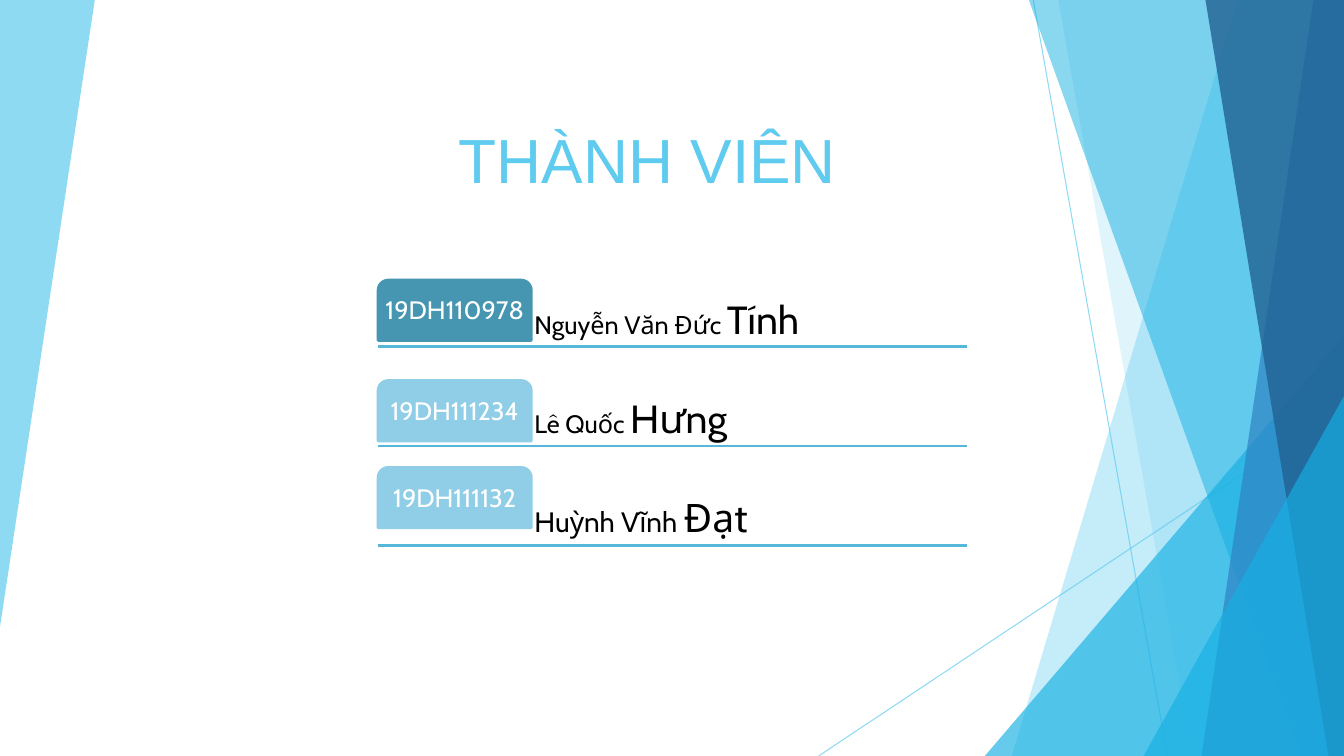
from lxml.etree import SubElement as Sub
from pptx import Presentation
from pptx.dml.color import RGBColor as RGB
from pptx.enum.shapes import MSO_CONNECTOR as Link, MSO_SHAPE as Form
from pptx.enum.text import MSO_ANCHOR as Anchor, PP_ALIGN as Align
from pptx.oxml.ns import qn
from pptx.util import Cm, Pt

SKY = RGB(0x5F, 0xCB, 0xEF)
CYAN = RGB(0x16, 0xB0, 0xE3)
BLUE = RGB(0x2E, 0x83, 0xC3)
NAVY = RGB(0x22, 0x62, 0x92)
RULE = RGB(0x56, 0xB8, 0xD9)
TEAL = RGB(0x46, 0x96, 0xB1)
PALE = RGB(0x90, 0xCE, 0xE7)
WHITE = RGB(0xFF, 0xFF, 0xFF)
BLACK = RGB(0, 0, 0)

WIDE, HIGH = 33.87, 19.05
PITCH = 2.5

# Student number, first names, last name, first-name size, tab colour, tab offset
MEMBERS = [
    ("19DH110978", "Nguyễn Văn Đức ", "Tính", 18, TEAL, 0.71),
    ("19DH111234", "Lê Quốc ", "Hưng", 18, PALE, 0.74),
    ("19DH111132", "Huỳnh Vĩnh ", "Đạt", 20, PALE, 0.43),
]


def fade(part, share):
    """Set the opacity of every colour in the part, in percent."""
    for tint in list(part._element.iter(qn("a:srgbClr"))):
        Sub(tint, qn("a:alpha")).set("val", str(share * 1000))


def paint(shape, color):
    shape.shadow.inherit = False
    shape.fill.solid()
    shape.fill.fore_color.rgb = color
    shape.line.fill.background()


def draw_line(slide, start, end, color, size):
    line = slide.shapes.add_connector(
        Link.STRAIGHT, *(Cm(n) for n in (*start, *end)))
    line.line.color.rgb = color
    line.line.width = Pt(size)
    Sub(line._element.spPr, qn("a:effectLst"))
    return line


def draw_area(slide, points, color, share):
    first, *rest = [(Cm(x), Cm(y)) for x, y in points]
    pen = slide.shapes.build_freeform(*first)
    pen.add_line_segments(rest, close=True)
    area = pen.convert_to_shape()
    paint(area, color)
    fade(area, share)


def draw_band(slide, right, top, high, upper, lower, color, share):
    """Fill from the right edge to a slant, given by its distances from that edge."""
    base = top + high
    draw_area(slide, [(right - upper, top), (right, top), (right, base),
                      (right - lower, base)], color, share)


def draw_wedge(slide, right, base, wide, high):
    wedge = slide.shapes.add_shape(
        Form.ISOSCELES_TRIANGLE, Cm(right - wide), Cm(base - high), Cm(wide), Cm(high))
    wedge.adjustments[0] = 1
    paint(wedge, CYAN)
    fade(wedge, 66)


def draw_back(slide, left, top, wide, high):
    right, base = left + wide, top + high
    draw_area(slide, [(left, top), (left + 2.39, top), (left, top + 15.8)], SKY, 70)
    for start, end in (((right - 7.83, top), (right - 4.45, base)),
                       ((right, top + 10.24), (right - 13.24, base))):
        fade(draw_line(slide, start, end, SKY, 0.75), 70)
    edge = slide, right, top, high
    draw_band(*edge, 2.68, 8.37, SKY, 36)
    draw_band(*edge, 7.2, 3.82, SKY, 20)
    draw_wedge(slide, right, base, 9.05, 10.59)
    draw_band(*edge, 7.94, 1.08, CYAN, 50)
    draw_band(*edge, 0.77, 3.59, BLUE, 70)
    draw_band(*edge, 3.49, 0.39, NAVY, 80)
    draw_wedge(slide, right, base, 5.05, 9.07)


def add_run(para, text, size, color, font="Cabin"):
    run = para.add_run()
    run.text = text
    run.font.name = font
    run.font.size = Pt(size)
    run.font.color.rgb = color


def set_frame(frame, anchor, wrap):
    frame.word_wrap = wrap
    frame.vertical_anchor = anchor
    frame.margin_left = frame.margin_right = Cm(0.1)
    frame.margin_top = frame.margin_bottom = Cm(0.1)
    para = frame.paragraphs[0]
    para.line_spacing = 0.9
    return para


def put_title(slide, left, top, wide, high):
    title = slide.shapes.title
    title.left, title.top, title.width, title.height = (
        Cm(n) for n in (left, top, wide, high))
    frame = title.text_frame
    frame.word_wrap = False
    frame.vertical_anchor = Anchor.BOTTOM
    para = frame.paragraphs[0]
    para.alignment = Align.RIGHT
    para.line_spacing = 0.8
    add_run(para, "THÀNH VIÊN", 44.5, SKY, "Arial")


def put_member(slide, left, top, wide, high, member):
    code, given, name, size, color, drop = member
    base = top + high
    draw_line(slide, (left, base), (left + wide, base), RULE, 2)

    label = slide.shapes.add_textbox(
        Cm(left + 3.84), Cm(top), Cm(wide - 3.84), Cm(high))
    para = set_frame(label.text_frame, Anchor.BOTTOM, True)
    add_run(para, given, size, BLACK)
    add_run(para, name, 28, BLACK)

    tab = slide.shapes.add_shape(
        Form.ROUND_2_SAME_RECTANGLE, Cm(left), Cm(top + drop), Cm(3.86), Cm(1.52))
    paint(tab, color)
    tab.line.color.rgb = color
    tab.line.width = Pt(2)
    para = set_frame(tab.text_frame, Anchor.MIDDLE, False)
    para.alignment = Align.CENTER
    add_run(para, code, 18, WHITE)


def main():
    deck = Presentation()
    deck.slide_width, deck.slide_height = Cm(WIDE), Cm(HIGH)
    slide = deck.slides.add_slide(deck.slide_layouts[5])
    draw_back(slide, 0, 0, WIDE, HIGH)
    put_title(slide, 10.46, 3.25, 10.87, 1.8)
    for row, member in enumerate(MEMBERS):
        put_member(slide, 9.53, 6.35 + row * PITCH, 14.83, 2.39, member)
    deck.save("out.pptx")


if __name__ == "__main__":
    main()
